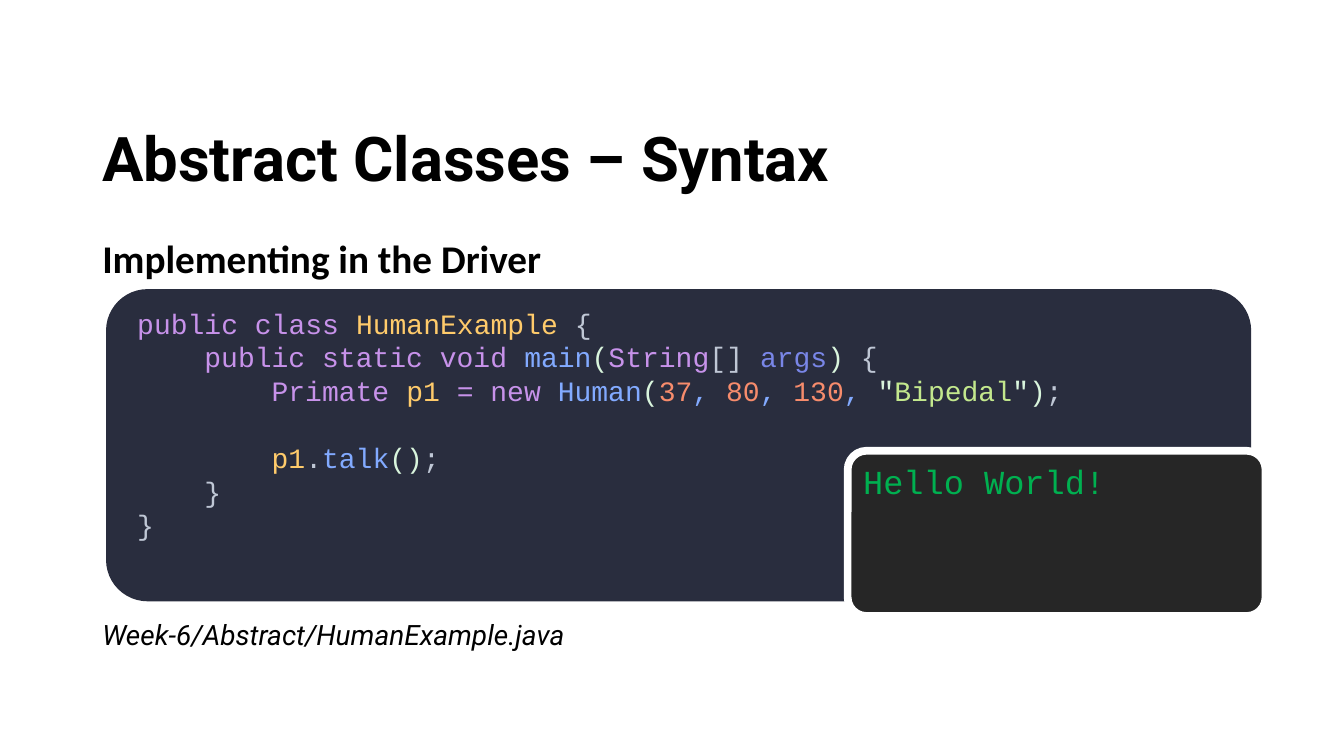
import dataclasses

import pptx
import pptx.dml.color
import pptx.enum.shapes
import pptx.enum.text
import pptx.util

Pt = pptx.util.Pt


@dataclasses.dataclass(frozen=True)
class Theme:
    # Fonts
    heading: str = "Roboto"
    body: str = "Calibri"
    mono: str = "Courier New"
    # Type sizes
    title_size: int = 44
    subtitle_size: int = 28
    output_size: int = 24
    code_size: int = 20
    # Page colours
    ink: str = "000000"
    paper: str = "FFFFFF"
    editor: str = "292D3E"
    console: str = "262626"
    console_text: str = "00B050"
    # Syntax colours
    keyword: str = "C792EA"
    name: str = "FFCB6B"
    plain: str = "BFC7D5"
    call: str = "82AAFF"
    bracket: str = "D9F5DD"
    argument: str = "7986E7"
    number: str = "F78C6C"
    string: str = "C3E88D"


def rgb(value):
    return pptx.dml.color.RGBColor.from_string(value)


class SlideBuilder:
    def __init__(self, slide, theme):
        self.slide = slide
        self.theme = theme

    def style(self, paragraph, font, size, color=None, bold=None, italic=None):
        paragraph.font.name = font
        paragraph.font.size = Pt(size)
        paragraph.font.bold = bold
        paragraph.font.italic = italic
        if color:
            paragraph.font.color.rgb = rgb(color)

    def label(self, box, text, font, size, before=0, middle=False, **emphasis):
        frame = self.slide.shapes.add_textbox(*map(Pt, box)).text_frame
        frame.word_wrap = True
        if middle:
            frame.vertical_anchor = pptx.enum.text.MSO_ANCHOR.MIDDLE
        paragraph = frame.paragraphs[0]
        paragraph.text = text
        paragraph.line_spacing = 0.9
        paragraph.space_before = Pt(before)
        self.style(paragraph, font, size, self.theme.ink, **emphasis)

    def panel(self, box, fill, corner, border=None):
        panel = self.slide.shapes.add_shape(
            pptx.enum.shapes.MSO_SHAPE.ROUNDED_RECTANGLE, *map(Pt, box))
        panel.adjustments[0] = corner
        panel.shadow.inherit = False
        panel.fill.solid()
        panel.fill.fore_color.rgb = rgb(fill)
        if border:
            panel.line.color.rgb = rgb(self.theme.paper)
            panel.line.width = Pt(border)
        else:
            panel.line.fill.background()
        frame = panel.text_frame
        frame.word_wrap = True
        frame.vertical_anchor = pptx.enum.text.MSO_ANCHOR.TOP
        frame.paragraphs[0].alignment = pptx.enum.text.PP_ALIGN.LEFT
        return frame

    def code(self, frame, lines, margin, tab, gap):
        for index, (depth, blank_before, tokens) in enumerate(lines):
            paragraph = frame.add_paragraph() if index else frame.paragraphs[0]
            paragraph.alignment = pptx.enum.text.PP_ALIGN.LEFT
            paragraph.space_before = Pt(gap * blank_before)
            indent = Pt(margin + depth * tab)
            paragraph._p.get_or_add_pPr().set("marL", str(int(indent)))
            self.style(paragraph, self.theme.mono, self.theme.code_size)
            for text, role in tokens:
                run = paragraph.add_run()
                run.text = text
                run.font.color.rgb = rgb(getattr(self.theme, role))


# Each line: depth, blank lines before it, coloured tokens
CODE = [
    (0, 0, [("public class ", "keyword"), ("HumanExample", "name"), (" {", "plain")]),
    (1, 0, [("public static void ", "keyword"), ("main", "call"), ("(", "bracket"),
            ("String", "keyword"), ("[] ", "plain"), ("args", "argument"),
            (")", "bracket"), (" {", "plain")]),
    (2, 0, [("Primate ", "keyword"), ("p1 ", "name"), ("= new ", "keyword"),
            ("Human", "call"), ("(", "bracket"), ("37", "number"), (", ", "call"),
            ("80", "number"), (", ", "call"), ("130", "number"), (", ", "call"),
            ('"', "bracket"), ("Bipedal", "string"), ('")', "bracket"), (";", "plain")]),
    (2, 1, [("p1", "name"), (".", "plain"), ("talk", "call"), ("()", "bracket"),
            (";", "plain")]),
    (1, 0, [("}", "plain")]),
    (0, 0, [("}", "plain")]),
]


def main():
    deck = pptx.Presentation()
    deck.slide_width, deck.slide_height = Pt(960), Pt(540)
    theme = Theme()
    builder = SlideBuilder(deck.slides.add_slide(deck.slide_layouts[6]), theme)
    left, width = 66, 828

    # Headings
    builder.label((left, 63.25, width, 104.4), "Abstract Classes – Syntax",
                  theme.heading, theme.title_size, middle=True, bold=True)
    builder.label((left, 167.75, width, 262), "Implementing in the Driver",
                  theme.body, theme.subtitle_size, before=10, bold=True)

    # Code editor: a tab is four characters of 0.6 em
    editor = builder.panel((75.75, 206.5, 818, 223), theme.editor, 0.133)
    builder.code(editor, CODE, margin=6.5, tab=4 * 0.6 * theme.code_size, gap=24)

    # Console output
    console = builder.panel((605.5, 322, 298.5, 118), theme.console, 0.114, border=5.5)
    output = console.paragraphs[0]
    output.text = "Hello World!"
    output.space_before = Pt(10)
    builder.style(output, theme.mono, theme.output_size, theme.console_text)

    # File name
    builder.label((left, 440.5, 626.5, 53.5), "Week-6/Abstract/HumanExample.java",
                  theme.heading, theme.code_size, before=10, italic=True)

    deck.save("out.pptx")


if __name__ == "__main__":
    main()
